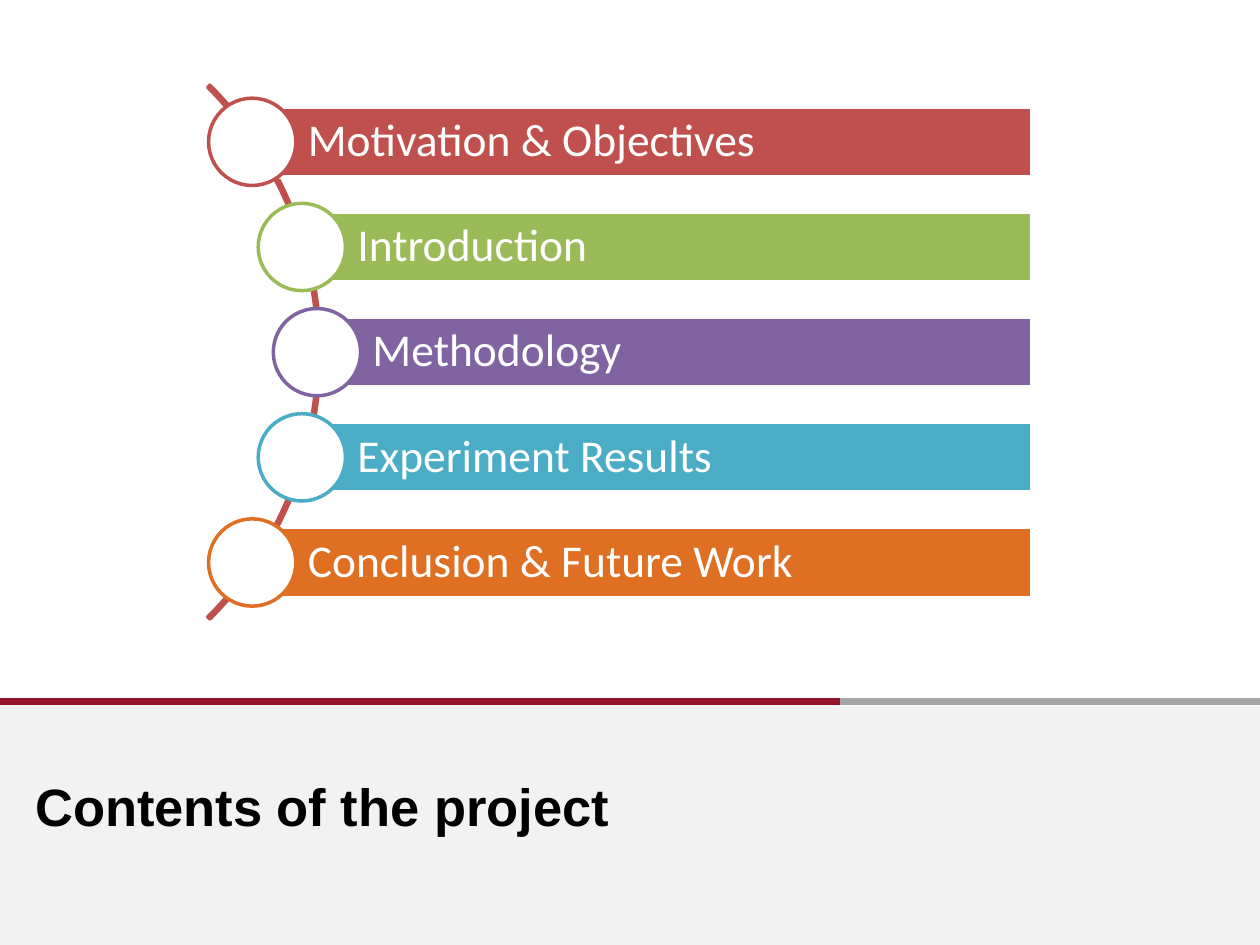
from math import sqrt

from lxml.etree import SubElement
from pptx import Presentation
from pptx.dml.color import RGBColor
from pptx.enum.shapes import MSO_CONNECTOR, MSO_SHAPE
from pptx.enum.text import MSO_ANCHOR, PP_ALIGN
from pptx.oxml.ns import qn
from pptx.util import Cm, Pt

WHITE = RGBColor(0xFF, 0xFF, 0xFF)
BLACK = RGBColor(0x00, 0x00, 0x00)
PANEL = RGBColor(0xF2, 0xF2, 0xF2)
CRIMSON = RGBColor(0x90, 0x15, 0x2A)
GRAY = RGBColor(0xA6, 0xA6, 0xA6)
RED = RGBColor(0xC0, 0x50, 0x4D)
GREEN = RGBColor(0x9B, 0xBB, 0x59)
PURPLE = RGBColor(0x80, 0x64, 0xA2)
TEAL = RGBColor(0x4B, 0xAC, 0xC6)
ORANGE = RGBColor(0xDF, 0x70, 0x23)

SLIDE_WIDTH, SLIDE_HEIGHT = 25.4, 19.05
DIVIDER_TOP, DIVIDER_SPLIT = 14.15, 16.93
ARC_CENTER_X, ARC_CENTER_Y, ARC_SIZE = -1.15, 7.1, 15.22
ORBIT_RADIUS = 7.54
PITCH = 2.12
BAR_RIGHT, BAR_HEIGHT = 20.8, 1.41
CIRCLE_SIZE = 1.76

TOPICS = [
    ("Motivation & Objectives", RED),
    ("Introduction", GREEN),
    ("Methodology", PURPLE),
    ("Experiment Results", TEAL),
    ("Conclusion & Future Work", ORANGE),
]


def write_text(shape, text, *, font, size, color, bold=False, anchor=MSO_ANCHOR.TOP,
               insets=(0.25, 0.13, 0.25, 0.13), line_spacing=1.0):
    """Put one left-aligned paragraph into a shape."""
    frame = shape.text_frame
    frame.word_wrap = True
    frame.vertical_anchor = anchor
    (frame.margin_left, frame.margin_top,
     frame.margin_right, frame.margin_bottom) = map(Cm, insets)
    paragraph = frame.paragraphs[0]
    paragraph.text = text
    paragraph.alignment = PP_ALIGN.LEFT
    paragraph.line_spacing = line_spacing
    paragraph.font.name = font
    paragraph.font.size = Pt(size)
    paragraph.font.bold = bold
    paragraph.font.color.rgb = color


class ContentsSlide:
    """Holds the style and the current slide."""

    outline = Pt(2)
    divider = Pt(4)
    title_style = dict(font="Arial", size=30, color=BLACK, bold=True,
                       insets=(0.25, 0.23, 0.25, 0.13))
    bar_style = dict(font="Calibri", size=26, color=WHITE, anchor=MSO_ANCHOR.MIDDLE,
                     insets=(1.12, 0.17, 0.17, 0.17), line_spacing=0.9)

    def __init__(self, presentation):
        """Add a blank slide."""
        self.slide = presentation.slides.add_slide(presentation.slide_layouts[6])

    def shape(self, kind, left, top, width, height, fill=None, line=None):
        """Add a preset shape with optional fill and outline."""
        shape = self.slide.shapes.add_shape(kind, Cm(left), Cm(top), Cm(width), Cm(height))
        shape.shadow.inherit = False
        if fill is None:
            shape.fill.background()
        else:
            shape.fill.solid()
            shape.fill.fore_color.rgb = fill
        if line is None:
            shape.line.fill.background()
        else:
            shape.line.color.rgb = line
            shape.line.width = self.outline
        return shape

    def rule(self, start, end, top, color):
        """Add a horizontal divider."""
        connector = self.slide.shapes.add_connector(
            MSO_CONNECTOR.STRAIGHT, Cm(start), Cm(top), Cm(end), Cm(top))
        connector.line.color.rgb = color
        connector.line.width = self.divider
        SubElement(connector._element.spPr, qn("a:effectLst"))

    def title(self, text, left, top, width, height):
        """Add the slide title."""
        box = self.slide.shapes.add_textbox(Cm(left), Cm(top), Cm(width), Cm(height))
        write_text(box, text, **self.title_style)

    def arc(self, center_x, center_y, size, color):
        """Add the thin arc that links the topics."""
        arc = self.shape(MSO_SHAPE.BLOCK_ARC, center_x - size / 2, center_y - size / 2,
                         size, size, line=color)
        for index, value in enumerate((189, 27, 0.004)):
            arc.adjustments[index] = value

    def topic(self, text, color, center_x, center_y):
        """Add a bar with a circle over its left end."""
        bar = self.shape(MSO_SHAPE.RECTANGLE, center_x, center_y - BAR_HEIGHT / 2,
                         BAR_RIGHT - center_x, BAR_HEIGHT, color, WHITE)
        write_text(bar, text, **self.bar_style)
        self.shape(MSO_SHAPE.OVAL, center_x - CIRCLE_SIZE / 2, center_y - CIRCLE_SIZE / 2,
                   CIRCLE_SIZE, CIRCLE_SIZE, WHITE, color)


def main():
    """Build and save the contents slide."""
    presentation = Presentation()
    presentation.slide_width = Cm(SLIDE_WIDTH)
    presentation.slide_height = Cm(SLIDE_HEIGHT)
    contents = ContentsSlide(presentation)

    panel_top = 14.22
    contents.shape(MSO_SHAPE.RECTANGLE, 0, panel_top, SLIDE_WIDTH,
                   SLIDE_HEIGHT - panel_top, PANEL)
    contents.rule(DIVIDER_SPLIT, SLIDE_WIDTH, DIVIDER_TOP, GRAY)
    contents.rule(0, DIVIDER_SPLIT, DIVIDER_TOP, CRIMSON)
    contents.title("Contents of the project", 0.46, 15.37, 21.89, 1.98)

    contents.arc(ARC_CENTER_X, ARC_CENTER_Y, ARC_SIZE, RED)
    for index, (text, color) in enumerate(TOPICS):
        offset = (index - len(TOPICS) // 2) * PITCH
        center_x = ARC_CENTER_X + sqrt(ORBIT_RADIUS ** 2 - offset ** 2)
        contents.topic(text, color, center_x, ARC_CENTER_Y + offset)

    presentation.save("out.pptx")


if __name__ == "__main__":
    main()
